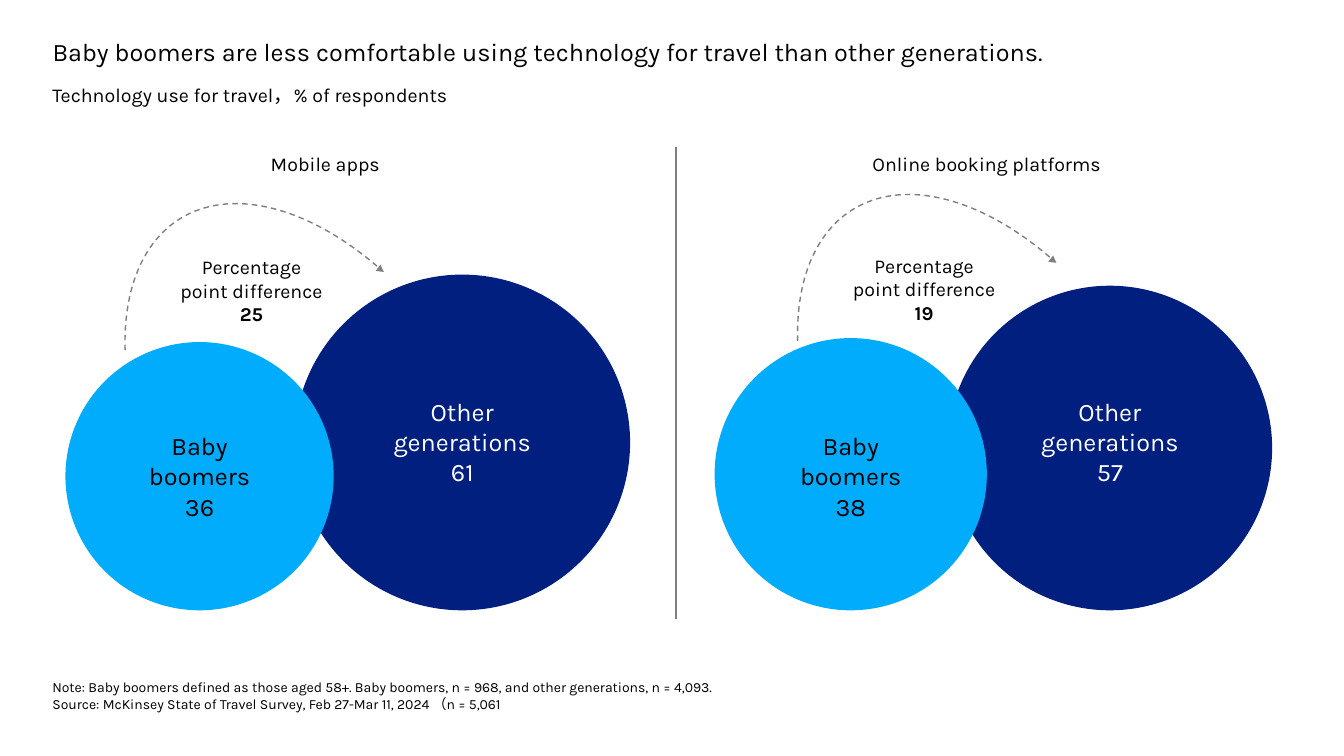
from dataclasses import dataclass
from typing import Any

from lxml.etree import SubElement
from pptx import Presentation
from pptx.dml.color import RGBColor
from pptx.enum.dml import MSO_LINE
from pptx.enum.shapes import MSO_CONNECTOR, MSO_SHAPE
from pptx.enum.text import MSO_ANCHOR, MSO_AUTO_SIZE, PP_ALIGN
from pptx.oxml.ns import qn
from pptx.util import Cm, Pt

BLACK, WHITE, GREY = "000000", "FFFFFF", "808080"
NAVY, SKY = "001F7E", "00ACFB"
LEFT_MARGIN = 1.07
BASELINE = 15.38  # shared bottom edge of all circles


def colour(hex_code):
    return RGBColor.from_string(hex_code)


@dataclass
class SlideBuilder:
    slide: Any
    font: str = "Karla"

    def style_text(self, frame, words, size, ink=BLACK, align=PP_ALIGN.LEFT, wrap=True):
        frame.text = words
        frame.word_wrap = wrap
        frame.auto_size = MSO_AUTO_SIZE.NONE
        frame.vertical_anchor = MSO_ANCHOR.TOP
        for paragraph in frame.paragraphs:
            paragraph.alignment = align
            for run in paragraph.runs:
                run.font.name = self.font
                run.font.size = Pt(size)
                run.font.color.rgb = colour(ink)

    def title(self, words, left, top, width, height):
        heading = self.slide.shapes.title
        heading.left, heading.top = Cm(left), Cm(top)
        heading.width, heading.height = Cm(width), Cm(height)
        self.style_text(heading.text_frame, words, 18)

    def text(self, words, left, top, width, height, size, **style):
        box = self.slide.shapes.add_textbox(Cm(left), Cm(top), Cm(width), Cm(height))
        self.style_text(box.text_frame, words, size, **style)
        return box.text_frame

    def centred(self, words, centre, top, width, height, size, ink=BLACK):
        return self.text(words, centre - width / 2, top, width, height, size,
                         ink=ink, align=PP_ALIGN.CENTER, wrap=False)

    def solid(self, shapes, kind, left, top, width, height, fill):
        shape = shapes.add_shape(kind, Cm(left), Cm(top), Cm(width), Cm(height))
        shape.shadow.inherit = False
        shape.fill.solid()
        shape.fill.fore_color.rgb = colour(fill)
        shape.line.fill.background()
        return shape

    def circle(self, left, diameter, fill):
        self.solid(self.slide.shapes, MSO_SHAPE.OVAL, left, BASELINE - diameter,
                   diameter, diameter, fill)

    def divider(self, x, top, bottom):
        line = self.slide.shapes.add_connector(
            MSO_CONNECTOR.STRAIGHT, Cm(x), Cm(top), Cm(x), Cm(bottom))
        line.line.color.rgb = colour(GREY)
        line.line.width = Pt(1)
        SubElement(line._element.spPr, qn("a:effectLst"))

    def curved_arrow(self, left, top):
        parts = self.slide.shapes.add_group_shape().shapes
        arc = parts.add_shape(MSO_SHAPE.ARC, Cm(left), Cm(top), Cm(8.18), Cm(13.92))
        arc.adjustments[0], arc.adjustments[1] = 143.424, 191.294
        arc.rotation = 328.3
        arc.shadow.inherit = False
        arc.fill.background()
        arc.line.color.rgb = colour(GREY)
        arc.line.width = Pt(1)
        arc.line.dash_style = MSO_LINE.DASH
        tip = self.solid(parts, MSO_SHAPE.ISOSCELES_TRIANGLE,
                         left + 5.39, top + 2.24, 0.2, 0.18, GREY)
        tip.rotation = 126.4

    def panel(self, heading, heading_centre, boomers, others, arrow, difference_top):
        # Overlapping circles with their labels
        groups = (
            ("Other\ngenerations", others, NAVY, WHITE, 9.86),
            ("Baby\nboomers", boomers, SKY, BLACK, 10.72),
        )
        for name, (share, left, diameter), fill, ink, label_top in groups:
            self.circle(left, diameter, fill)
            self.centred(f"{name}\n{share}", left + diameter / 2, label_top,
                         4, 2.57, 18, ink)

        # Heading, arrow and difference
        self.centred(heading, heading_centre, 3.71, 6.3, 0.86, 14)
        self.curved_arrow(*arrow)
        difference = self.centred(
            f"Percentage\npoint difference\n{others[0] - boomers[0]}",
            arrow[0] + 2.23, difference_top, 4.14, 2.06, 14)
        difference.paragraphs[-1].runs[0].font.bold = True


def main():
    deck = Presentation()
    deck.slide_width, deck.slide_height = Cm(33.87), Cm(19.05)
    builder = SlideBuilder(deck.slides.add_slide(deck.slide_layouts[5]))

    # Title and subtitle
    builder.title("Baby boomers are less comfortable using technology for travel "
                  "than other generations.", LEFT_MARGIN, 0.79, 31.27, 1.02)
    builder.text("Technology use for travel，% of respondents",
                 LEFT_MARGIN, 1.96, 15.67, 0.86, 14)

    # Two panels: each group is (share, left, diameter)
    builder.panel("Mobile apps", 8.2, boomers=(36, 1.65, 6.76),
                  others=(61, 7.42, 8.46), arrow=(4.11, 4.47), difference_top=6.3)
    builder.panel("Online booking platforms", 24.87, boomers=(38, 18.01, 6.86),
                  others=(57, 23.88, 8.18), arrow=(21.06, 4.24), difference_top=6.27)
    builder.divider(17.04, 3.71, 15.6)

    # Note and source
    builder.text("Note: Baby boomers defined as those aged 58+. Baby boomers, n = 968, "
                 "and other generations, n = 4,093.\n"
                 "Source: McKinsey State of Travel Survey, Feb 27-Mar 11, 2024 （n = 5,061",
                 LEFT_MARGIN, 16.97, 17.42, 1.12, 10, wrap=False)

    deck.save("out.pptx")


if __name__ == "__main__":
    main()
